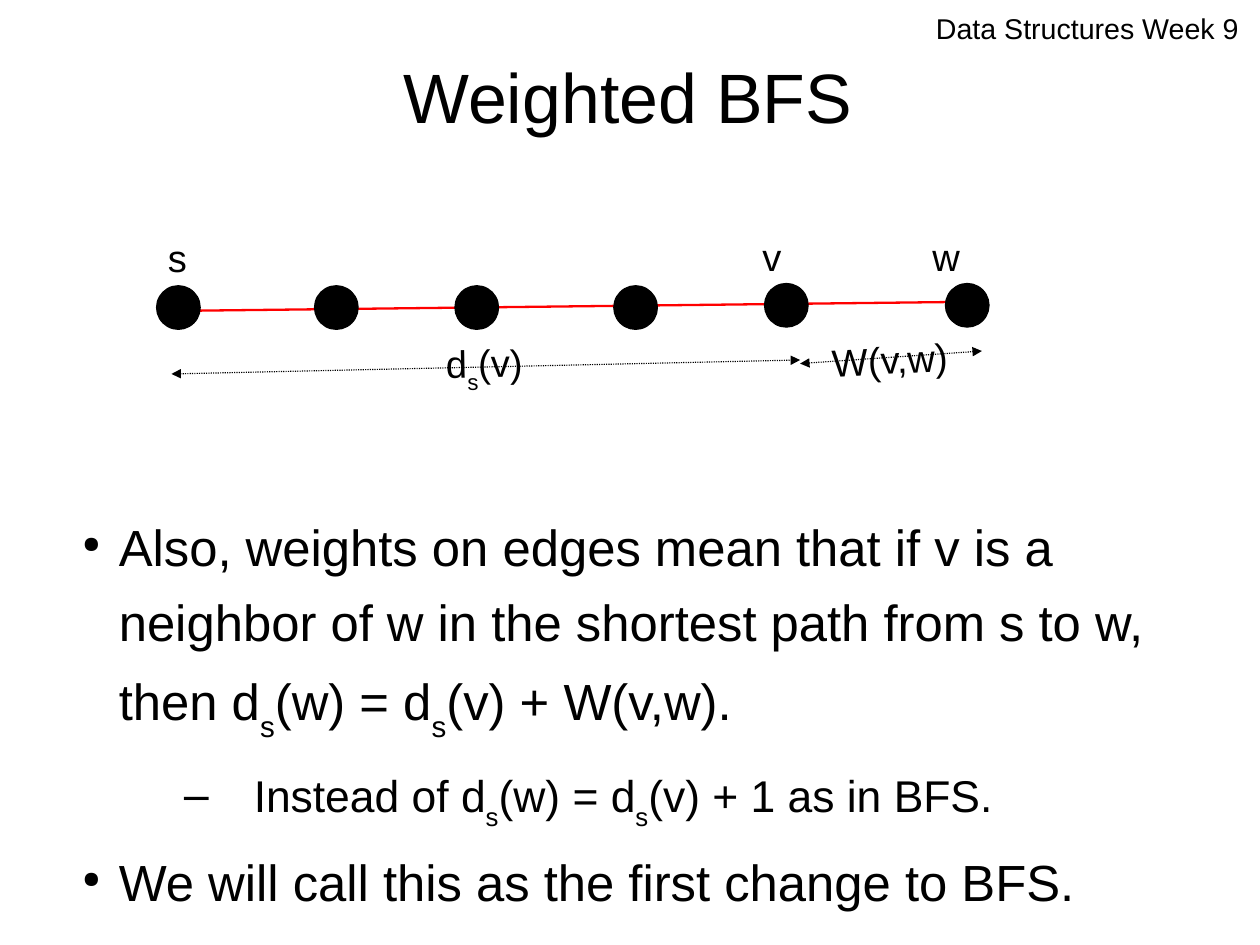
from dataclasses import dataclass

from lxml import etree
from pptx import Presentation
from pptx.dml.color import RGBColor
from pptx.enum import dml, shapes, text
from pptx.oxml import ns
from pptx.util import Cm, Pt


@dataclass(frozen=True)
class Theme:
    font: str = "Arial"
    ink: RGBColor = RGBColor(0, 0, 0)
    edge: RGBColor = RGBColor(255, 0, 0)
    header_size: int = 18
    title_size: int = 44
    bullet_size: int = 32
    detail_size: int = 28
    label_size: int = 24
    line_spacing: float = 1.24


@dataclass(frozen=True)
class Box:
    left: float
    top: float
    width: float
    height: float

    def lengths(self) -> tuple:
        return Cm(self.left), Cm(self.top), Cm(self.width), Cm(self.height)


@dataclass(frozen=True)
class Vertex:
    left: float
    top: float


@dataclass(frozen=True)
class Label:
    words: str
    box: Box
    rotation: float = 0


@dataclass(frozen=True)
class Line:
    start: tuple[float, float]
    end: tuple[float, float]


@dataclass(frozen=True)
class Bullet:
    words: str
    size: int
    symbol: str
    symbol_percent: int
    margin: float
    indent: float
    space_after: float
    level: int = 0


THEME = Theme()
VERTEX_SIZE = 0.97
INSETS = (0.25, 0.13)

# Path from s to w; "_" before a letter makes it a subscript
VERTICES = [Vertex(left, 6.35) for left in (3.48, 6.99, 10.11, 13.64)]
VERTICES += [Vertex(left, 6.3) for left in (16.99, 21.01)]
PATH = Line((3.81, 6.91), (21.26, 6.71))
SPANS = [Line((3.81, 8.31), (17.78, 8)), Line((17.78, 8.08), (21.82, 7.8))]
VERTEX_LABELS = [
    Label("s", Box(3.48, 5.08, 1.27, 1.27)),
    Label("v", Box(16.69, 5.05, 1.27, 1.27)),
    Label("w", Box(20.47, 5.05, 1.27, 1.27)),
]
SPAN_LABELS = [
    Label("d_s(v)", Box(3.78, 7.42, 13.97, 1.47), 359),
    Label("W(v,w)", Box(17.75, 7.34, 4.04, 1.27), 357),
]


def main_bullet(words: str) -> Bullet:
    return Bullet(words, THEME.bullet_size, "●", 45, 1.09, -0.81, 5.8)


BULLETS = [
    main_bullet("Also, weights on edges mean that if v is a neighbor of w in the "
                "shortest path from s to w, then d_s(w) = d_s(v) + W(v,w)."),
    Bullet("Instead of d_s(w) = d_s(v) + 1 as in BFS.",
           THEME.detail_size, "–", 100, 4.09, -1.55, 2.9, 1),
    main_bullet("We will call this as the first change to BFS."),
]


def write(paragraph, words: str, size: int) -> None:
    first, *rest = words.split("_")
    paragraph.add_run().text = first
    for part in rest:
        subscript = paragraph.add_run()
        subscript.text = part[0]
        subscript._r.get_or_add_rPr().set("baseline", "-33000")
        paragraph.add_run().text = part[1:]
    paragraph.font.name = THEME.font
    paragraph.font.size = Pt(size)
    paragraph.font.color.rgb = THEME.ink


def prepare_frame(shape, insets: tuple[float, float] = (0, 0)):
    frame = shape.text_frame
    frame.word_wrap = True
    frame.auto_size = text.MSO_AUTO_SIZE.NONE
    frame.margin_left = frame.margin_right = Cm(insets[0])
    frame.margin_top = frame.margin_bottom = Cm(insets[1])
    return frame


def add_label(slide, label: Label, size: int, insets=(0, 0), centred: bool = False) -> None:
    shape = slide.shapes.add_textbox(*label.box.lengths())
    shape.rotation = label.rotation
    frame = prepare_frame(shape, insets)
    if centred:
        frame.vertical_anchor = text.MSO_ANCHOR.MIDDLE
        frame.paragraphs[0].alignment = text.PP_ALIGN.CENTER
    write(frame.paragraphs[0], label.words, size)


def add_line(slide, line: Line, color: RGBColor, width: float):
    connector = slide.shapes.add_connector(
        shapes.MSO_CONNECTOR.STRAIGHT, *map(Cm, line.start + line.end))
    connector.line.color.rgb = color
    connector.line.width = Pt(width)
    etree.SubElement(connector._element.spPr, ns.qn("a:effectLst"))
    return connector


def add_span(slide, line: Line) -> None:
    connector = add_line(slide, line, THEME.ink, 0.75)
    connector.line.dash_style = dml.MSO_LINE.ROUND_DOT
    outline = connector.line._get_or_add_ln()
    for end in ("a:headEnd", "a:tailEnd"):
        etree.SubElement(outline, ns.qn(end), type="triangle")


def add_vertex(slide, vertex: Vertex) -> None:
    box = Box(vertex.left, vertex.top, VERTEX_SIZE, VERTEX_SIZE)
    shape = slide.shapes.add_shape(shapes.MSO_SHAPE.OVAL, *box.lengths())
    shape.shadow.inherit = False
    shape.fill.solid()
    shape.fill.fore_color.rgb = THEME.ink
    shape.line.color.rgb = THEME.ink
    shape.line.width = Pt(0.75)


def add_bullet(paragraph, bullet: Bullet) -> None:
    paragraph.level = bullet.level
    paragraph.line_spacing = THEME.line_spacing
    paragraph.space_after = Pt(bullet.space_after)
    properties = paragraph._p.get_or_add_pPr()
    properties.set("marL", str(Cm(bullet.margin)))
    properties.set("indent", str(Cm(bullet.indent)))
    etree.SubElement(properties, ns.qn("a:buSzPct"), val=str(bullet.symbol_percent * 1000))
    etree.SubElement(properties, ns.qn("a:buChar"), char=bullet.symbol)
    write(paragraph, bullet.words, bullet.size)


def main() -> None:
    presentation = Presentation()
    presentation.slide_width, presentation.slide_height = Cm(28), Cm(21)
    slide = presentation.slides.add_slide(presentation.slide_layouts[5])

    # Header and title
    add_label(slide, Label("Data Structures Week 9", Box(20.8, 0.25, 6.88, 0.84)),
              THEME.header_size)
    title = slide.shapes.title
    title.left, title.top, title.width, title.height = Box(1.4, 0.74, 25.12, 2.31).lengths()
    frame = prepare_frame(title)
    frame.vertical_anchor = text.MSO_ANCHOR.MIDDLE
    frame.paragraphs[0].alignment = text.PP_ALIGN.CENTER
    frame.paragraphs[0].line_spacing = THEME.line_spacing
    write(frame.paragraphs[0], "Weighted BFS", THEME.title_size)

    # Bullets
    body = prepare_frame(slide.shapes.add_textbox(*Box(1.55, 11.13, 25.12, 9.19).lengths()))
    for index, bullet in enumerate(BULLETS):
        add_bullet(body.add_paragraph() if index else body.paragraphs[0], bullet)

    # Weighted path with its distances
    add_line(slide, PATH, THEME.edge, 1.45)
    for vertex in VERTICES:
        add_vertex(slide, vertex)
    for label in VERTEX_LABELS:
        add_label(slide, label, THEME.label_size, INSETS)
    for span, label in zip(SPANS, SPAN_LABELS):
        add_span(slide, span)
        add_label(slide, label, THEME.label_size, INSETS, centred=True)

    presentation.save("out.pptx")


if __name__ == "__main__":
    main()
